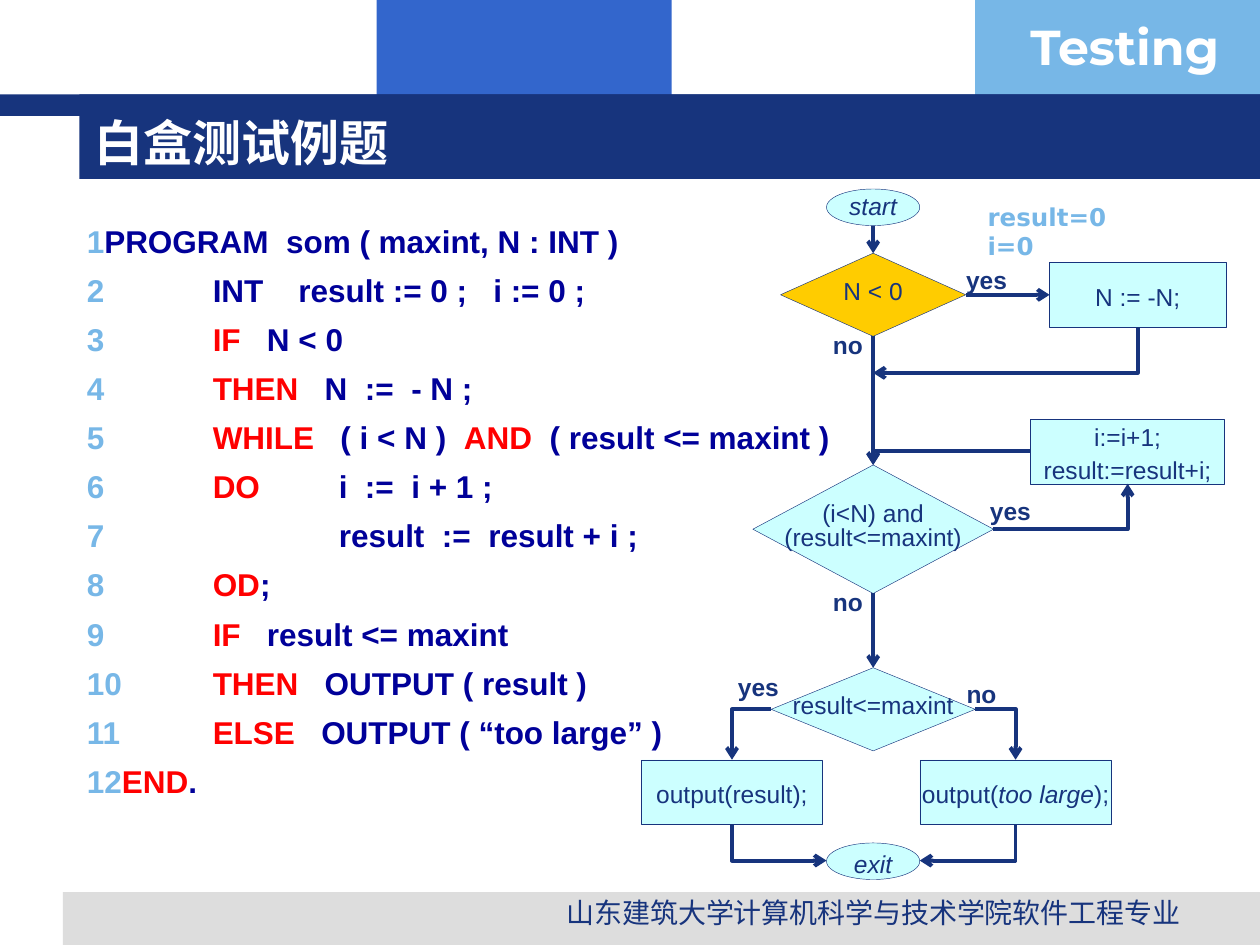
"""Build the white-box testing slide with a program listing and its flowchart."""
from lxml import etree
from pptx import Presentation, util as u
from pptx.dml.color import RGBColor
from pptx.enum import shapes, text
from pptx.oxml.ns import qn

COLORS = {"navy": "17347D", "blue": "3366CC", "sky": "77B7E7", "grey": "DDDDDD",
          "white": "FFFFFF", "cyan": "CCFFFF", "gold": "FFCC00",
          "code": "000099", "key": "FF0000"}
TITLE = "白盒测试例题"
FOOTER = "山东建筑大学计算机科学与技术学院软件工程专业"
BANDS = [("blue", 2.99, 0, 2.34, 0.92), ("sky", 7.74, 0, 2.26, 0.92),
         ("grey", 0.5, 7.08, 9.5, 0.42), ("navy", 0, 0.75, 10, 0.17),
         ("navy", 0.63, 0.75, 9.37, 0.67)]
CODE_TABS = (1, 2)
CODE = [
    [("1", "sky"), ("PROGRAM  som ( maxint, N : INT )", "code")],
    [("2\t", "sky"), ("INT    result := 0 ;   i := 0 ;", "code")],
    [("3\t", "sky"), ("IF", "key"), ("   N < 0", "code")],
    [("4\t", "sky"), ("THEN", "key"), ("   N  :=  - N ;", "code")],
    [("5\t", "sky"), ("WHILE", "key"), ("   ( i < N )  ", "code"), ("AND", "key"),
     ("  ( result <= maxint )", "code")],
    [("6\t", "sky"), ("DO\t", "key"), ("i  :=  i + 1 ;", "code")],
    [("7\t\t", "sky"), ("result  :=  result + i ;", "code")],
    [("8\t", "sky"), ("OD", "key"), (";", "code")],
    [("9\t", "sky"), ("IF", "key"), ("   result <= maxint", "code")],
    [("10\t", "sky"), ("THEN", "key"), ("   OUTPUT ( result )", "code")],
    [("11\t", "sky"), ("ELSE", "key"), ("   OUTPUT ( “too large” )", "code")],
    [("12", "sky"), ("END", "key"), (".", "code")],
]
AXIS = 6.93
KINDS = {"box": (shapes.MSO_SHAPE.RECTANGLE, 1.1),
         "test": (shapes.MSO_SHAPE.FLOWCHART_DECISION, 0.6),
         "begin": (shapes.MSO_SHAPE.OVAL, 0.95),
         "end": (shapes.MSO_SHAPE.OVAL, 1.2)}
NODES = {
    "start": ("begin", AXIS, 1.5, 0.74, 0.29, "cyan", ["start"]),
    "negative": ("test", AXIS, 2.01, 1.47, 0.66, "gold", ["N < 0"]),
    "negate": ("box", 9.03, 2.08, 1.4, 0.52, "cyan", ["N := -N;"]),
    "step": ("box", 8.95, 3.33, 1.54, 0.51, "cyan", ["i:=i+1;", "result:=result+i;"]),
    "loop": ("test", AXIS, 3.69, 1.91, 1.02, "cyan", ["(i<N) and", "(result<=maxint)"]),
    "check": ("test", AXIS, 5.3, 1.62, 0.66, "cyan", ["result<=maxint"]),
    "output": ("box", 5.81, 6.03, 1.44, 0.51, "cyan", ["output(result);"]),
    "large": ("box", 8.06, 6.03, 1.52, 0.51, "cyan", ["output(|too large|);"]),
    "exit": ("end", AXIS, 6.69, 0.74, 0.29, "cyan", ["exit"]),
}
STRAIGHT = [("start", 2, "negative", 0), ("negative", 2, "loop", 0),
            ("loop", 2, "check", 0), ("negative", 3, "negate", 1)]
BENT = [((7.74, 5.63), (8.06, 6.03), "tailEnd"), ((6.12, 5.63), (5.81, 6.03), "tailEnd"),
        ((6.56, 6.83), (5.81, 6.54), "headEnd"), ((7.3, 6.83), (8.06, 6.54), "headEnd"),
        ((AXIS, 2.96), (9.03, 2.6), "headEnd"), ((7.88, 4.2), (8.95, 3.84), "tailEnd"),
        ((8.18, 3.58), (AXIS, 3.69), "tailEnd")]
LABELS = [("yes", 7.83, 2.2), ("no", 6.73, 2.71), ("no", 6.73, 4.75),
          ("yes", 8.02, 4.03), ("yes", 6.02, 5.43), ("no", 7.79, 5.48)]


def rgb(name):
    return RGBColor.from_string(COLORS[name])


def style(p, size, color, name="Arial", bold=False, italic=False, align=None, spacing=None):
    f = p.font
    f.size, f.name, f.bold, f.italic = u.Pt(size), name, bold, italic
    f.color.rgb = rgb(color)
    p.alignment, p.line_spacing = align, spacing


def paragraphs(tf, count):
    return [tf.paragraphs[0]] + [tf.add_paragraph() for _ in range(count - 1)]


def add_text(slide, box, lines, wrap=True, anchor=text.MSO_ANCHOR.TOP, **look):
    tf = slide.shapes.add_textbox(*map(u.Inches, box)).text_frame
    tf.word_wrap, tf.vertical_anchor = wrap, anchor
    for p, line in zip(paragraphs(tf, len(lines)), lines):
        p.text = line
        style(p, **look)


def add_block(slide, kind, box, fill):
    sp = slide.shapes.add_shape(kind, *map(u.Inches, box))
    sp.shadow.inherit = False
    sp.fill.solid()
    sp.fill.fore_color.rgb = rgb(fill)
    sp.line.fill.background()
    return sp


def add_node(slide, kind, center, top, width, height, fill, lines):
    shape, spacing = KINDS[kind]
    sp = add_block(slide, shape, (center - width / 2, top, width, height), fill)
    sp.line.color.rgb, sp.line.width = rgb("navy"), u.Pt(0.25)
    tf = sp.text_frame
    tf.word_wrap, tf.vertical_anchor = False, text.MSO_ANCHOR.MIDDLE
    for i, (p, line) in enumerate(zip(paragraphs(tf, len(lines)), lines)):
        style(p, 14, "navy", italic=kind in ("begin", "end"),
              align=text.PP_ALIGN.CENTER, spacing=spacing)
        if i and kind == "test":
            p.space_before = u.Pt(3.5)
        for j, part in enumerate(line.split("|")):
            r = p.add_run()
            r.text = part
            if j % 2:
                r.font.italic = True
    return sp


def add_arrow(slide, kind, start, end, arrow="tailEnd"):
    cx = slide.shapes.add_connector(kind, *map(u.Inches, (*start, *end)))
    cx.line.color.rgb, cx.line.width = rgb("navy"), u.Pt(2.25)
    etree.SubElement(cx.line._get_or_add_ln(), qn("a:" + arrow), type="arrow")
    props = cx._element.spPr
    etree.SubElement(props, qn("a:effectLst"))
    if kind == shapes.MSO_CONNECTOR.ELBOW:
        props.find(qn("a:prstGeom")).set("prst", "bentConnector2")
    return cx


def add_title(slide):
    title = slide.shapes.title
    slide.shapes._spTree.append(title._element)
    title.left, title.top, title.width, title.height = map(u.Inches, (0.75, 0.84, 7.84, 0.58))
    tf = title.text_frame
    tf.margin_left = tf.margin_right = tf.margin_top = tf.margin_bottom = 0
    tf.auto_size, tf.vertical_anchor = text.MSO_AUTO_SIZE.NONE, text.MSO_ANCHOR.MIDDLE
    p = tf.paragraphs[0]
    r = p.add_run()
    r.text = TITLE
    style(p, 28, "white", "Noto Sans CJK SC", bold=True, align=text.PP_ALIGN.LEFT)
    etree.SubElement(r._r.get_or_add_rPr(), qn("a:ea"), typeface="Noto Sans CJK SC")


def add_code(slide):
    tf = slide.shapes.add_textbox(*map(u.Inches, (0.59, 1.62, 6.22, 4.78))).text_frame
    tf.word_wrap = True
    for p, line in zip(paragraphs(tf, len(CODE)), CODE):
        stops = etree.SubElement(p._p.get_or_add_pPr(), qn("a:tabLst"))
        for stop in CODE_TABS:
            etree.SubElement(stops, qn("a:tab"), pos=str(u.Inches(stop)), algn="l")
        style(p, 18, "code", bold=True, spacing=1.3)
        for words, color in line:
            r = p.add_run()
            r.text = words
            r.font.color.rgb = rgb(color)


def add_flowchart(slide):
    nodes = {name: add_node(slide, *node) for name, node in NODES.items()}
    for source, out, target, into in STRAIGHT:
        cx = add_arrow(slide, shapes.MSO_CONNECTOR.STRAIGHT, (AXIS, 1.79), (AXIS, 2.01))
        if NODES[source][0] != "begin":
            cx.begin_connect(nodes[source], out)
        cx.end_connect(nodes[target], into)
    for start, end, arrow in BENT:
        add_arrow(slide, shapes.MSO_CONNECTOR.ELBOW, start, end, arrow)
    for word, x, y in LABELS:
        add_text(slide, (x - 0.35, y - 0.19, 0.7, 0.38), [word], wrap=False,
                 anchor=text.MSO_ANCHOR.MIDDLE, size=14, color="navy", bold=True,
                 align=text.PP_ALIGN.CENTER, spacing=1.2)


def main():
    prs = Presentation()
    prs.slide_width, prs.slide_height = u.Inches(10), u.Inches(7.5)
    s = prs.slides.add_slide(prs.slide_layouts[5])
    for fill, *box in BANDS:
        add_block(s, shapes.MSO_SHAPE.RECTANGLE, box, fill)
    add_title(s)
    add_text(s, (8.08, 0.08, 1.92, 0.57), ["Testing"], size=28, color="white",
             name="Montserrat", bold=True)
    add_text(s, (4.06, 7.06, 5.75, 0.31), [FOOTER], size=16, color="navy",
             align=text.PP_ALIGN.CENTER)
    add_code(s)
    add_flowchart(s)
    add_text(s, (7.74, 1.55, 1.43, 0.58), ["result=0", "i=0"], wrap=False, size=14,
             color="sky", name="DejaVu Sans", bold=True)
    prs.save("out.pptx")


if __name__ == "__main__":
    main()
